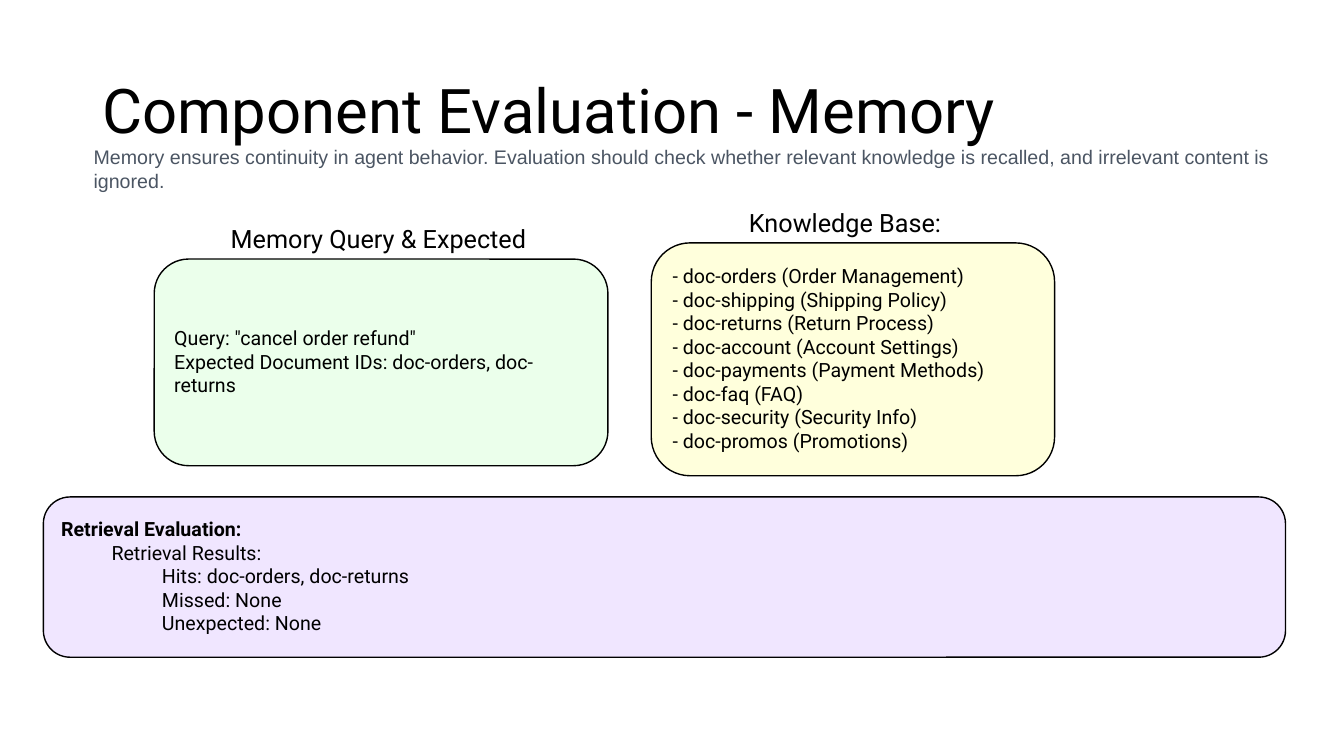
import pptx
import pptx.util
import pptx.dml.color
import pptx.enum.shapes
import pptx.enum.text

PX = 9144  # EMU in one px, 100 px to the inch
THEME = {
    "ink": "000000", "muted": "4B5563",
    "query": "EBFFEB", "base": "FFFFDC", "result": "F0E6FF",
    "font": "Roboto", "plain": "Arial",
    "title": 44, "head": 18, "body": 14, "line": 1,
}
PAGE = (1333, 750)
MIDDLE = pptx.enum.text.MSO_ANCHOR.MIDDLE
TOP = pptx.enum.text.MSO_ANCHOR.TOP
INSETS = {"margin_left": 10, "margin_top": 5, "margin_right": 10, "margin_bottom": 5}


def scale(box):
    return [n * PX for n in box]


def color(name):
    return pptx.dml.color.RGBColor.from_string(THEME[name])


def apply(target, values):
    for name, value in values.items():
        setattr(target, name, value)


def write(shape, lines, size="body", font="font", ink="ink", anchor=TOP, insets=INSETS, spacing=None):
    """Fill a shape with lines of (text, level, bold)."""
    frame = shape.text_frame
    apply(frame, {"word_wrap": True, "vertical_anchor": anchor})
    apply(frame, {name: n * PX for name, n in insets.items()})
    for i, (text, level, bold) in enumerate(lines):
        para = frame.add_paragraph() if i else frame.paragraphs[0]
        apply(para, {"alignment": pptx.enum.text.PP_ALIGN.LEFT, "level": level,
                     "line_spacing": spacing})
        if level:
            props = para._p.get_or_add_pPr()
            props.set("marL", str(level * 50 * PX))
            props.set("indent", "0")
        run = para.add_run()
        run.text = text
        apply(run.font, {"name": THEME[font], "bold": bold,
                         "size": pptx.util.Pt(THEME[size])})
        run.font.color.rgb = color(ink)


def label(slide, box, text, **style):
    write(slide.shapes.add_textbox(*scale(box)), [(text, 0, False)], **style)


def panel(slide, box, fill, lines):
    kind = pptx.enum.shapes.MSO_SHAPE.ROUNDED_RECTANGLE
    shape = slide.shapes.add_shape(kind, *scale(box))
    shape.shadow.inherit = False
    shape.fill.solid()
    shape.fill.fore_color.rgb = color(fill)
    shape.line.color.rgb = color("ink")
    shape.line.width = pptx.util.Pt(THEME["line"])
    write(shape, lines, anchor=MIDDLE, insets={**INSETS, "margin_bottom": 7})


def header(slide, box):
    left, top, width, height = box
    label(slide, (left + 9, top, width - 45, height - 11),
          "Component Evaluation - Memory", size="title", anchor=MIDDLE, spacing=0.9)
    label(slide, (left, top + 99, width, 57),
          "Memory ensures continuity in agent behavior. Evaluation should check "
          "whether relevant knowledge is recalled, and irrelevant content is ignored.",
          font="plain", ink="muted")


def topic(slide, box, fill, head, shift, span, texts):
    """Place a panel with its heading, shift px in from the left, on top."""
    left, top, width, height = box
    panel(slide, box, fill, [(text, 0, False) for text in texts])
    label(slide, (left + shift, top - 40, span, 40), head, size="head")


def results(slide, box):
    panel(slide, box, "result", [
        ("Retrieval Evaluation:", 0, True),
        ("Retrieval Results:", 1, False),
        ("Hits: doc-orders, doc-returns", 2, False),
        ("Missed: None", 2, False),
        ("Unexpected: None", 2, False),
    ])


def main():
    deck = pptx.Presentation()
    deck.slide_width, deck.slide_height = scale(PAGE)
    slide = deck.slides.add_slide(deck.slide_layouts[6])
    docs = {"orders": "Order Management", "shipping": "Shipping Policy",
            "returns": "Return Process", "account": "Account Settings",
            "payments": "Payment Methods", "faq": "FAQ",
            "security": "Security Info", "promos": "Promotions"}
    header(slide, (83, 40, 1223, 156))
    topic(slide, (153, 257, 450, 205), "query", "Memory Query & Expected", 66, 324,
          ['Query: "cancel order refund"',
           "Expected Document IDs: doc-orders, doc-returns"])
    topic(slide, (646, 241, 400, 231), "base", "Knowledge Base:", 87, 242,
          [f"- doc-{key} ({name})" for key, name in docs.items()])
    results(slide, (43, 493, 1232, 159))
    deck.save("out.pptx")


if __name__ == "__main__":
    main()
